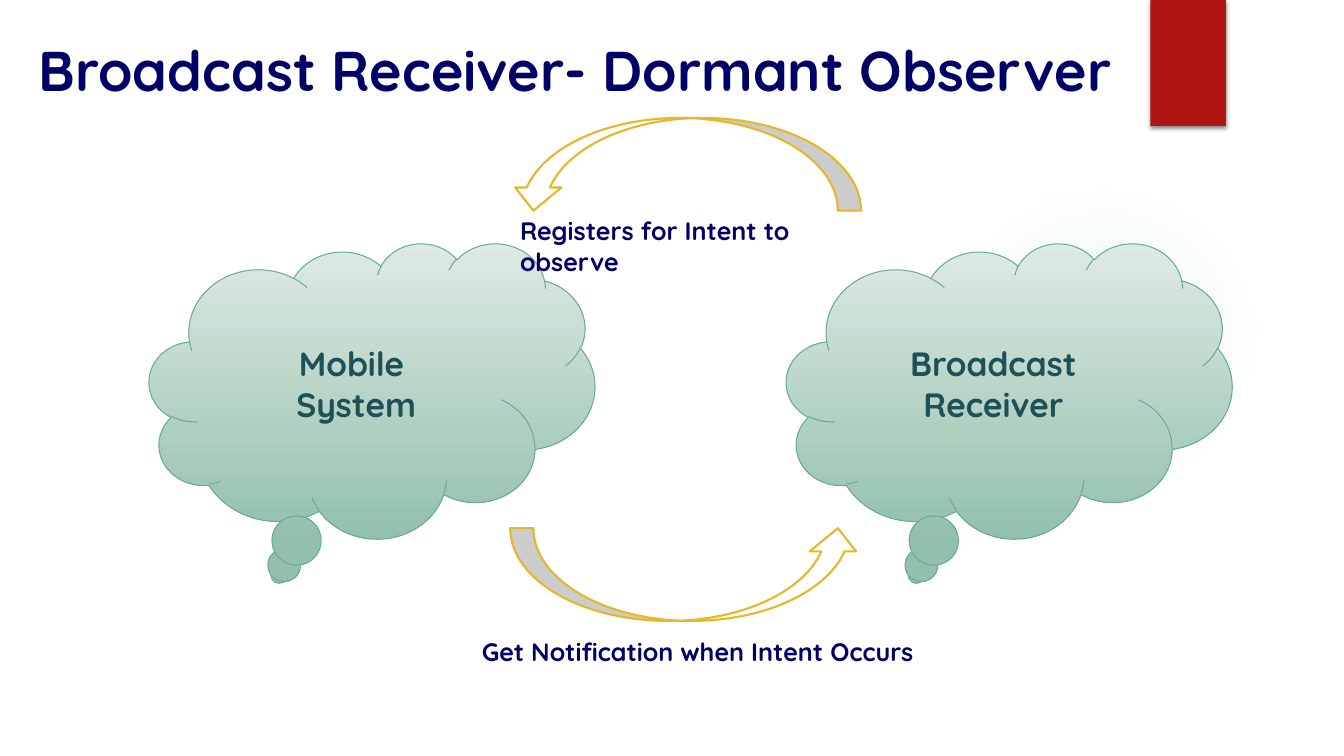
from lxml import etree
from pptx import Presentation
from pptx.dml import color
from pptx.enum import shapes, text
from pptx.oxml import ns
from pptx.util import Inches, Pt

COLORS = {
    "navy": "000066", "teal": "1E5155", "red": "B01513", "glow": "50B9C1",
    "mint": "DEEAE4", "sage": "93C0AC", "green": "6AAC90",
    "gold": "E6B729", "white": "FFFFFF", "shadow": "000000",
}
FONT = "Quicksand"
KINDS = shapes.MSO_SHAPE


def rgb(name):
    return color.RGBColor.from_string(COLORS[name])


def write(frame, lines, size, tint, align, **frame_format):
    frame.word_wrap = True
    for key, value in frame_format.items():
        setattr(frame, key, value)
    frame.text = "\n".join(lines)
    font_format = {"name": FONT, "size": Pt(size), "bold": True}
    for paragraph in frame.paragraphs:
        paragraph.alignment = align
        for run in paragraph.runs:
            run.font.color.rgb = rgb(tint)
            for key, value in font_format.items():
                setattr(run.font, key, value)


def add_preset(slide, kind, box, outline=None, width=0):
    preset = slide.shapes.add_shape(kind, *map(Inches, box))
    preset.shadow.inherit = False
    if outline:
        preset.line.color.rgb = rgb(outline)
        preset.line.width = Pt(width)
    else:
        preset.line.fill.background()
    return preset


def add_child(parent, tag, **attributes):
    child = etree.SubElement(parent, ns.qn(tag))
    for key, value in attributes.items():
        child.set(key, str(value))
    return child


def add_tint(parent, name, percent):
    tint = add_child(parent, "a:srgbClr", val=COLORS[name])
    add_child(tint, "a:alpha", val=percent * 1000)


def add_decoration(slide, glow_box, ribbon_box):
    glow = add_preset(slide, KINDS.OVAL, glow_box)
    glow.fill.gradient()
    gradient = glow.element.spPr.find(ns.qn("a:gradFill"))
    for child in list(gradient):
        gradient.remove(child)
    stops = add_child(gradient, "a:gsLst")
    for position, opacity in ((0, 7), (36, 6), (69, 0)):
        stop = add_child(stops, "a:gs", pos=position * 1000)
        add_tint(stop, "glow", opacity)
    spread = add_child(gradient, "a:path", path="circle")
    add_child(spread, "a:fillToRect", l=50000, t=50000, r=50000, b=50000)

    ribbon = add_preset(slide, KINDS.RECTANGLE, ribbon_box)
    ribbon.fill.solid()
    ribbon.fill.fore_color.rgb = rgb("red")
    effects = ribbon.element.spPr.find(ns.qn("a:effectLst"))
    shadow = add_child(effects, "a:outerShdw", blurRad=Pt(3), dist=Pt(2),
                       dir=90 * 60000, rotWithShape=0)
    add_tint(shadow, "shadow", 45)


def add_title(slide, box):
    title = slide.shapes.title
    for key, value in zip(("left", "top", "width", "height"), box):
        setattr(title, key, Inches(value))
    write(title.text_frame, ["Broadcast Receiver- Dormant Observer"], 40, "navy",
          text.PP_ALIGN.CENTER, vertical_anchor=text.MSO_ANCHOR.BOTTOM,
          auto_size=text.MSO_AUTO_SIZE.NONE)


def add_cloud(slide, box, lines):
    cloud = add_preset(slide, KINDS.CLOUD_CALLOUT, box, "green", 0.75)
    cloud.fill.gradient()
    cloud.fill.gradient_angle = 270
    for stop, name, position in zip(cloud.fill.gradient_stops, ("mint", "sage"), (0, 1)):
        stop.color.rgb = rgb(name)
        stop.position = position
    write(cloud.text_frame, lines, 24, "teal", text.PP_ALIGN.CENTER,
          vertical_anchor=text.MSO_ANCHOR.MIDDLE)


def add_flow(slide, box, rotation, label, label_offset, label_width):
    left, top, width, height = box
    arrow = add_preset(slide, KINDS.CURVED_DOWN_ARROW, box, "gold", 1.5)
    arrow.fill.solid()
    arrow.fill.fore_color.rgb = rgb("white")
    arrow.element.spPr.get_or_add_xfrm().set("flipH", "1")
    arrow.rotation = rotation
    dx, dy = label_offset
    caption = slide.shapes.add_textbox(
        *map(Inches, (left + dx, top + height + dy, label_width, 0.4)))
    write(caption.text_frame, [label], 18, "navy", text.PP_ALIGN.LEFT,
          auto_size=text.MSO_AUTO_SIZE.SHAPE_TO_FIT_TEXT)


def main():
    deck = Presentation()
    deck.slide_width, deck.slide_height = Inches(13.33), Inches(7.5)
    slide = deck.slides.add_slide(deck.slide_layouts[5])
    add_decoration(slide, (9.41, 1.83, 3.08, 3.08), (11.41, 0, 0.75, 1.25))
    add_title(slide, (0.26, 0.05, 10.89, 1.02))
    clouds = ((1.48, ["Mobile ", "System"]), (7.8, ["Broadcast Receiver"]))
    for left, lines in clouds:
        add_cloud(slide, (left, 2.41, 4.42, 2.93), lines)
    flows = (
        (1.17, 0, "Registers for Intent to observe", (0, 0), 3.8),
        (5.24, 180, "Get Notification when Intent Occurs", (-0.38, 0.1), 4.55),
    )
    for top, *flow in flows:
        add_flow(slide, (5.06, top, 3.48, 0.92), *flow)
    deck.save("out.pptx")


if __name__ == "__main__":
    main()
